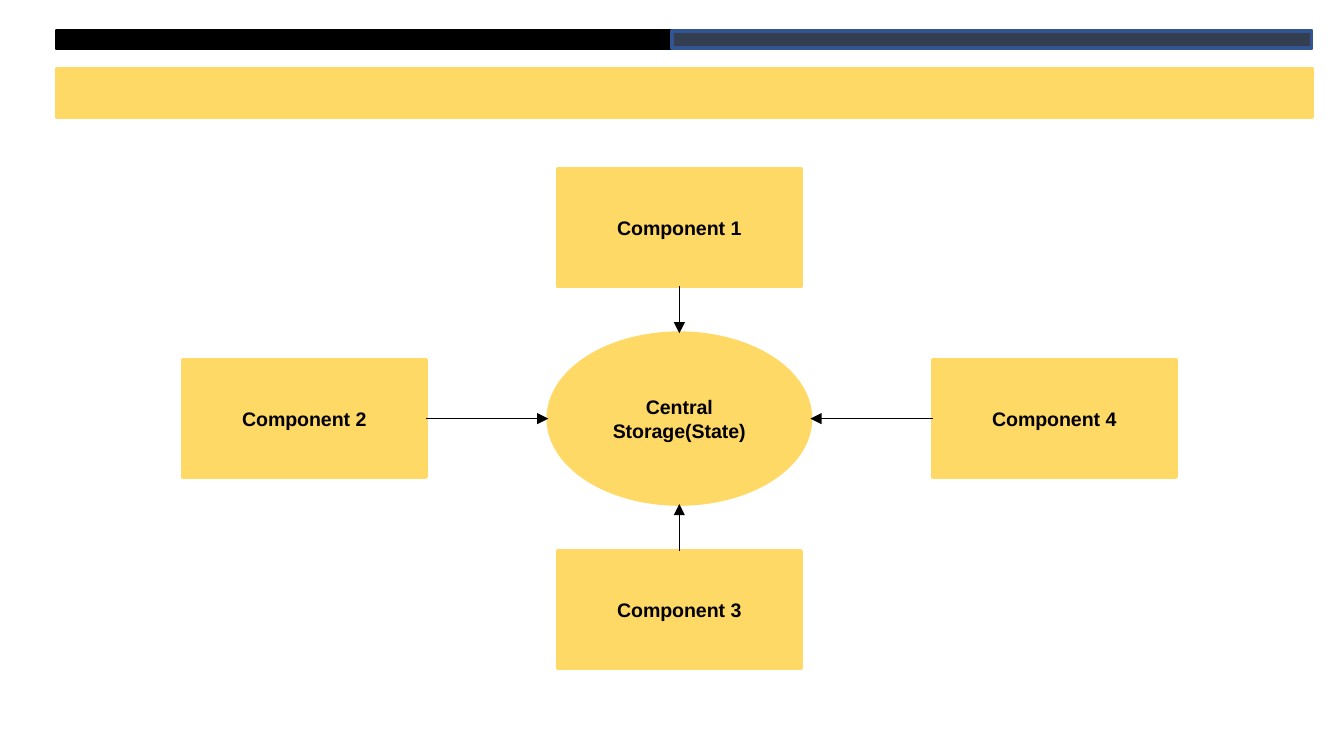
from pptx import Presentation
from pptx import util as u
from pptx.dml.color import RGBColor
from pptx.enum import shapes, text
from pptx.oxml.ns import qn
from lxml import etree

YELLOW = "FFD966"
BLACK = "000000"
BOX_W, BOX_H = 1.81, 0.87
STORE_X, STORE_Y, STORE_W, STORE_H = 4.08, 2.48, 1.95, 1.27
CENTER_X, CENTER_Y = STORE_X + STORE_W / 2, STORE_Y + STORE_H / 2
STEP_X, STEP_Y = 2.79, 1.42
TOP, LEFT, BOTTOM, RIGHT = range(4)


def color(value):
    return RGBColor.from_string(value)


def add_block(s, kind, x, y, w, h, fill=YELLOW, line=None):
    sp = s.shapes.add_shape(kind, u.Inches(x), u.Inches(y), u.Inches(w), u.Inches(h))
    sp.shadow.inherit = False
    sp.fill.solid()
    sp.fill.fore_color.rgb = color(fill)
    sp.line.color.rgb = color(line or fill)
    sp.line.width = u.Pt(2)
    return sp


def add_node(s, kind, cx, cy, w, h, label):
    sp = add_block(s, kind, cx - w / 2, cy - h / 2, w, h)
    tf = sp.text_frame
    tf.word_wrap = True
    tf.vertical_anchor = text.MSO_ANCHOR.MIDDLE
    p = tf.paragraphs[0]
    p.alignment = text.PP_ALIGN.CENTER
    r = p.add_run()
    r.text = label
    r.font.name = "Arial"
    r.font.size = u.Pt(10.5)
    r.font.bold = True
    r.font.color.rgb = color(BLACK)
    return sp


def add_arrow(s, box, side, start, end):
    points = [u.Inches(v) for v in (*start, *end)]
    cn = s.shapes.add_connector(shapes.MSO_CONNECTOR.STRAIGHT, *points)
    cn.begin_connect(box, side)
    cn.line.color.rgb = color(BLACK)
    cn.line.width = u.Pt(0.75)
    etree.SubElement(cn.line._get_or_add_ln(), qn("a:tailEnd"), type="triangle")
    etree.SubElement(cn._element.spPr, qn("a:effectLst"))


def add_component(s, label, dx, dy, side):
    cx, cy = CENTER_X + dx * STEP_X, CENTER_Y + dy * STEP_Y
    box = add_node(s, shapes.MSO_SHAPE.RECTANGLE, cx, cy, BOX_W, BOX_H, label)
    start = (cx - dx * BOX_W / 2, cy - dy * BOX_H / 2)
    end = (CENTER_X + dx * STORE_W / 2, CENTER_Y + dy * STORE_H / 2)
    add_arrow(s, box, side, start, end)


def main():
    prs = Presentation()
    prs.slide_width = u.Inches(10)
    prs.slide_height = prs.slide_width * 9 // 16
    s = prs.slides.add_slide(prs.slide_layouts[6])

    rect = shapes.MSO_SHAPE.RECTANGLE
    add_block(s, rect, 0.42, 0.51, 9.34, 0.36)
    add_block(s, rect, 0.42, 0.23, 6.25, 0.13, BLACK)
    add_block(s, rect, 5, 0.23, 4.76, 0.13, "333F50", "325491")

    add_node(s, shapes.MSO_SHAPE.OVAL, CENTER_X, CENTER_Y, STORE_W, STORE_H,
             "Central Storage(State)")
    directions = [(0, -1, BOTTOM), (-1, 0, RIGHT), (0, 1, TOP), (1, 0, LEFT)]
    for number, (dx, dy, side) in enumerate(directions, 1):
        add_component(s, f"Component {number}", dx, dy, side)

    prs.save("out.pptx")


if __name__ == "__main__":
    main()
